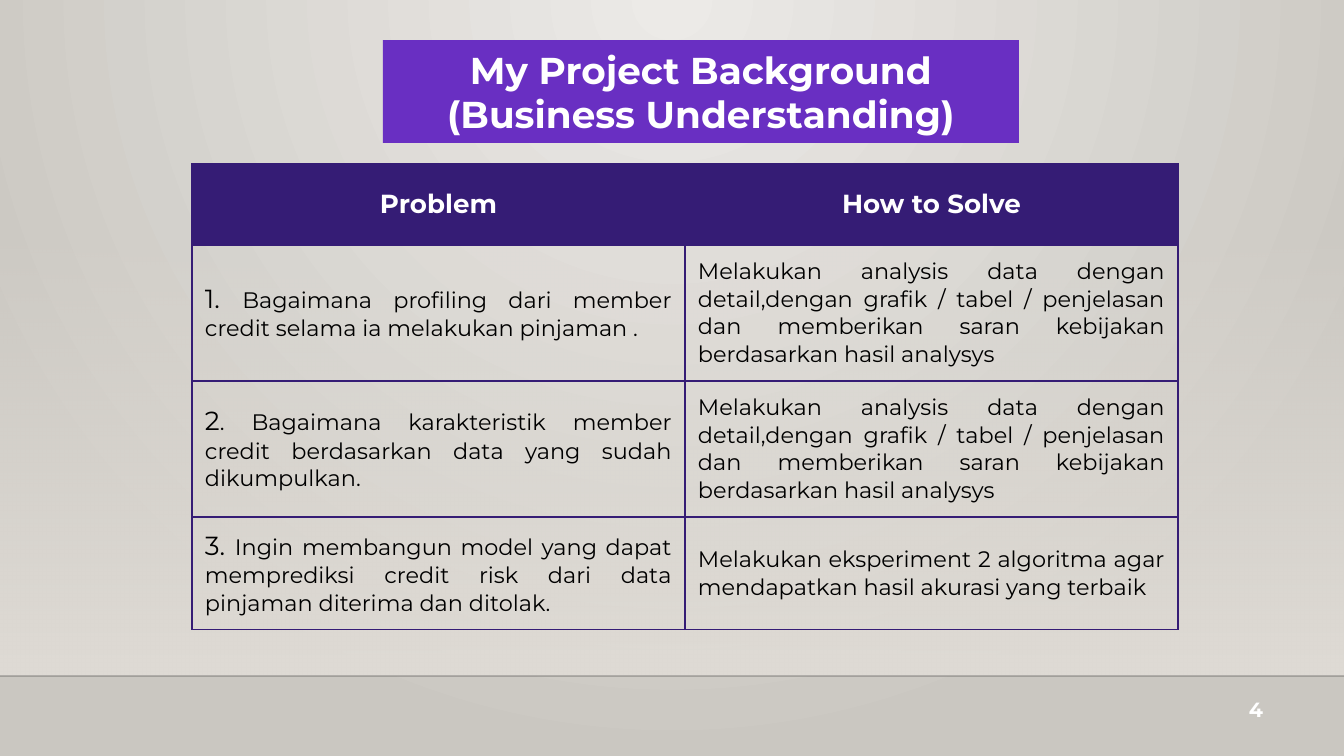
from lxml.etree import SubElement
from pptx import Presentation
from pptx.dml.color import RGBColor
from pptx.enum.shapes import MSO_CONNECTOR, MSO_SHAPE
from pptx.enum.text import MSO_ANCHOR, MSO_AUTO_SIZE, PP_ALIGN
from pptx.oxml.ns import qn
from pptx.util import Pt

EMU_PER_PX = 914400 / 134.4
FONT = "Montserrat"
COLORS = {
    "glow": "ECEAE7",
    "backdrop": "CAC7C1",
    "wall": "DFDBD5",
    "horizon": "000001",
    "banner": "692FC2",
    "header": "351C75",
    "light": "FFFFFF",
    "dark": "000000",
}
ANALYSIS = (
    "Melakukan analysis data dengan detail,dengan grafik / tabel / penjelasan "
    "dan memberikan saran kebijakan berdasarkan hasil analysys"
)
HEADINGS = ["Problem", "How to Solve"]
PROBLEMS = [
    ("1. ", "Bagaimana profiling dari member credit selama ia melakukan pinjaman .", ANALYSIS),
    ("2", ". Bagaimana karakteristik member credit berdasarkan data yang sudah dikumpulkan.", ANALYSIS),
    (
        "3. ",
        "Ingin membangun model yang dapat memprediksi credit risk dari data pinjaman diterima dan ditolak.",
        "Melakukan eksperiment 2 algoritma agar mendapatkan hasil akurasi yang terbaik",
    ),
]
ROW_HEIGHTS = [81, 136, 136, 113]


def px(length):
    return round(length * EMU_PER_PX)


def rgb(name):
    return RGBColor.from_string(COLORS[name])


def set_alpha(element, percent):
    color = next(element.iter(qn("a:srgbClr")))
    SubElement(color, qn("a:alpha"), val=str(percent * 1000))


class SlideBuilder:
    def __init__(self, deck):
        self.slide = deck.slides.add_slide(deck.slide_layouts[5])

    def gradient(self, fill, start, end):
        fill.gradient()
        for stop, name in zip(fill.gradient_stops, (start, end)):
            stop.color.rgb = rgb(name)

    def background(self):
        self.gradient(self.slide.background.fill, "glow", "backdrop")
        grad = next(self.slide.element.iter(qn("a:gradFill")))
        grad.remove(grad.find(qn("a:lin")))
        circle = SubElement(grad, qn("a:path"), path="circle")
        SubElement(circle, qn("a:fillToRect"), l="43000", t="0", r="43000", b="100000")

    def wall(self, x, y, width, height):
        wall = self.slide.shapes.add_shape(MSO_SHAPE.RECTANGLE, px(x), px(y), px(width), px(height))
        wall.shadow.inherit = False
        wall.line.fill.background()
        self.gradient(wall.fill, "wall", "wall")
        wall.fill.gradient_angle = 270
        set_alpha(wall.element.spPr, 0)

    def horizon(self, x1, x2, y):
        horizon = self.slide.shapes.add_connector(MSO_CONNECTOR.STRAIGHT, px(x1), px(y), px(x2), px(y))
        horizon.line.color.rgb = rgb("horizon")
        horizon.line.width = Pt(1)
        set_alpha(horizon.element.spPr, 20)
        SubElement(horizon.element.spPr, qn("a:effectLst"))

    def style(self, paragraph, size, color, align, bold=False):
        paragraph.alignment = align
        font = paragraph.font
        font.name, font.bold = FONT, bold
        font.color.rgb = rgb(color)
        if size:
            font.size = Pt(size)

    def title(self, lines, x, y, width, height):
        title = self.slide.shapes.title
        title.left, title.top, title.width, title.height = map(px, (x, y, width, height))
        title.fill.solid()
        title.fill.fore_color.rgb = rgb("banner")
        frame = title.text_frame
        frame.text = "\n".join(lines)
        frame.auto_size = MSO_AUTO_SIZE.NONE
        frame.vertical_anchor = MSO_ANCHOR.MIDDLE
        for paragraph in frame.paragraphs:
            self.style(paragraph, 20, "light", PP_ALIGN.CENTER, True)

    def page_number(self, number, x, y, width, height):
        frame = self.slide.shapes.add_textbox(px(x), px(y), px(width), px(height)).text_frame
        frame.word_wrap = True
        frame.vertical_anchor = MSO_ANCHOR.MIDDLE
        frame.margin_left = frame.margin_right = px(9)
        frame.margin_top = frame.margin_bottom = px(5)
        frame.text = number
        self.style(frame.paragraphs[0], 11, "light", PP_ALIGN.RIGHT, True)

    def cell(self, cell, runs, header=False):
        cell.vertical_anchor = MSO_ANCHOR.MIDDLE
        cell.margin_left = cell.margin_right = cell.margin_top = cell.margin_bottom = px(13)
        properties = cell._tc.get_or_add_tcPr()
        for side in ("lnL", "lnR", "lnT", "lnB"):
            border = SubElement(properties, qn(f"a:{side}"), w=str(Pt(0.75)))
            fill = SubElement(border, qn("a:solidFill"))
            SubElement(fill, qn("a:srgbClr"), val=COLORS["header"])
        if header:
            cell.fill.solid()
            cell.fill.fore_color.rgb = rgb("header")
        else:
            cell.fill.background()
        paragraph = cell.text_frame.paragraphs[0]
        for text, size in runs:
            run = paragraph.add_run()
            run.text = text
            run.font.size = Pt(size)
        color, align = ("light", PP_ALIGN.CENTER) if header else ("dark", PP_ALIGN.JUSTIFY)
        self.style(paragraph, None, color, align, header)

    def table(self, x, y, width):
        frame = self.slide.shapes.add_table(
            len(ROW_HEIGHTS), len(HEADINGS), px(x), px(y), px(width), px(sum(ROW_HEIGHTS))
        )
        table = frame.table
        table.first_row = table.horz_banding = False
        for row, height in zip(table.rows, ROW_HEIGHTS):
            row.height = px(height)
        for column, heading in enumerate(HEADINGS):
            self.cell(table.cell(0, column), [(heading, 14)], header=True)
        for row, (number, problem, solution) in enumerate(PROBLEMS, 1):
            self.cell(table.cell(row, 0), [(number, 14), (problem, 12)])
            self.cell(table.cell(row, 1), [(solution, 12)])


def main():
    deck = Presentation()
    deck.slide_width, deck.slide_height = px(1344), px(756)
    builder = SlideBuilder(deck)
    builder.background()
    builder.wall(0, 223, 1344, 453)
    builder.horizon(0, 1344, 676)
    builder.page_number("4", 970, 694, 302, 31)
    builder.table(192, 164, 986)
    builder.title(["My Project Background", "(Business Understanding)"], 383, 40, 636, 103)
    deck.save("out.pptx")


if __name__ == "__main__":
    main()
